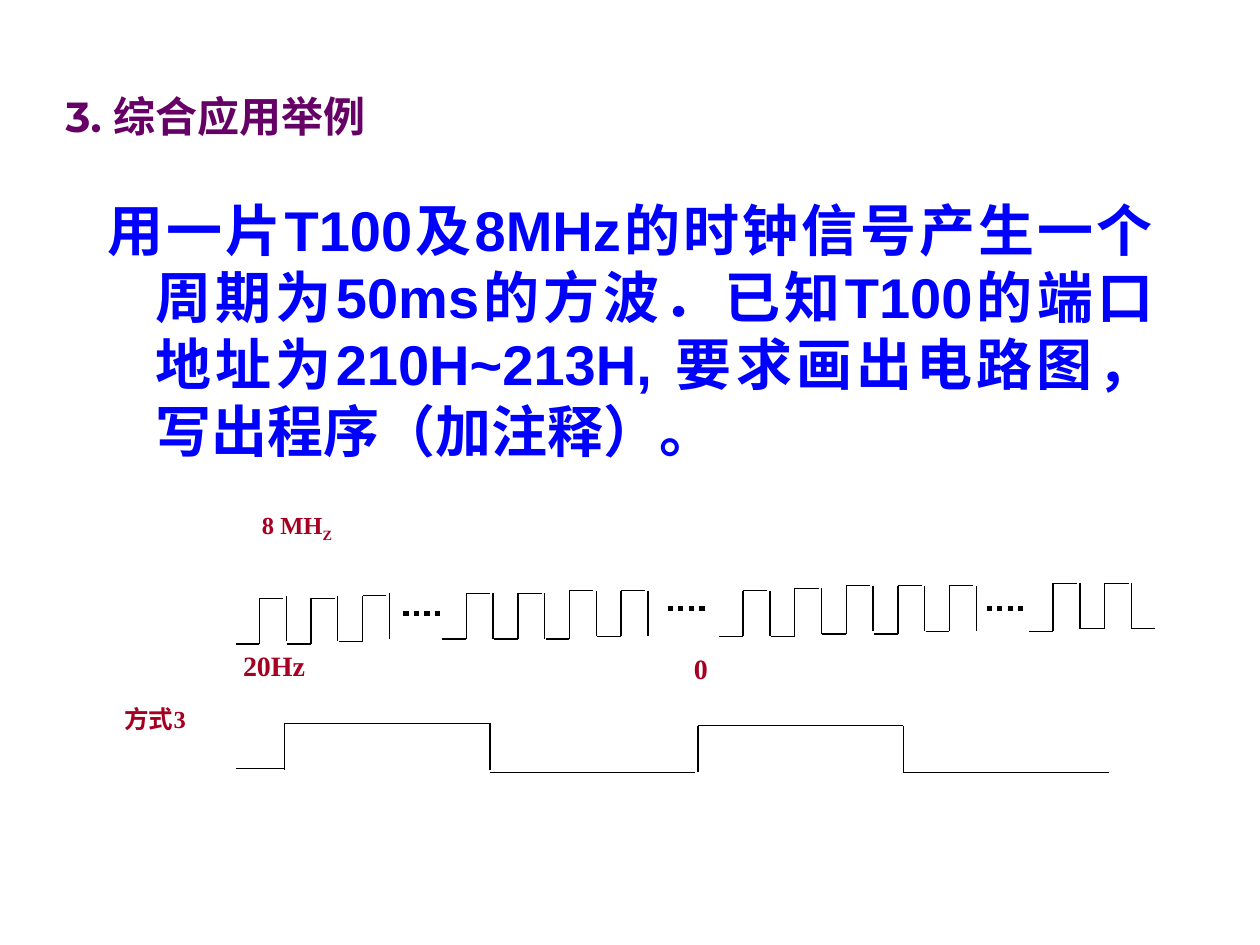
import pptx
import pptx.util
import pptx.dml.color
import pptx.enum.dml
import pptx.enum.shapes
import pptx.enum.text
from lxml import etree

Cm, Pt = pptx.util.Cm, pptx.util.Pt
ALIGN = pptx.enum.text.PP_ALIGN
ANCHOR = pptx.enum.text.MSO_ANCHOR
AUTO = pptx.enum.text.MSO_AUTO_SIZE

THEME = {
    "title": {"font": "Montserrat", "size": 24, "color": "660066"},
    "body": {"font": "Arial", "size": 32, "color": "0000FF"},
    "label": {"font": "Times New Roman", "size": 16, "color": "A50021"},
    "small": {"font": "Times New Roman", "size": 14, "color": "A50021"},
    "line": "000000",
    "thin": 0.75,
    "dots": 3,
}

# All lengths are in centimetres.
TITLE = "3. 综合应用举例"
TITLE_BOX = (1.07, 1.7, 19.69, 1.27)
TASK = ("用一片T100及8MHz的时钟信号产生一个周期为50ms的方波．已知T100的端口地址为"
        "210H~213H, 要求画出电路图，写出程序（加注释）。")
TASK_BOX = (1.91, 3.81, 21.59, 13.13)
HANGING = 0.97

# text, subscript, style, box
LABELS = [
    ("方式3", "", "small", (2.26, 14.07, 1.85, 0.86)),
    ("8 MH", "Z", "small", (5.03, 10.16, 1.93, 0.94)),
    ("0", "", "label", (13.74, 13.0, 0.79, 0.94)),
    ("20Hz", "", "label", (4.65, 12.95, 1.75, 0.94)),
]

# Clock bursts: left edge, then (low level, high level, top of falling edge) per pulse
PITCH, HALF, FALL_AT, HEIGHT = 1.04, 0.48, 1.02, 0.92
BURSTS = [
    (4.75, [(12.98, 12.06, 12.01), (12.98, 12.06, 12.01), (12.93, 12.01, 11.96)]),
    (8.92, [(12.88, 11.96, 11.96), (12.88, 11.96, 11.96),
            (12.88, 11.91, 11.91), (12.83, 11.91, 11.91)]),
    (14.5, [(12.83, 11.91, 11.91), (12.83, 11.86, 11.86), (12.78, 11.81, 11.81),
            (12.78, 11.81, 11.81), (12.73, 11.81, 11.81)]),
    (20.75, [(12.73, 11.76, 11.76), (12.67, 11.76, 11.76)]),
]
CLOCK_TAIL = (22.81, 12.67, 23.29, 12.67)
DOTS = [(8.13, 8.97, 12.37), (13.46, 14.27, 12.27), (19.89, 20.7, 12.27)]

# Output wave: level segments (from x, to x, y) and edges (x, from y, to y)
OUT_LEVELS = [(4.75, 5.72, 15.49), (5.73, 9.88, 14.58), (9.88, 14.02, 15.57),
              (14.07, 18.21, 14.63), (18.21, 22.35, 15.57)]
OUT_EDGES = [(5.73, 14.58, 15.52), (9.88, 14.58, 15.52),
             (14.07, 14.63, 15.57), (18.21, 14.63, 15.57)]


def rgb(value):
    return pptx.dml.color.RGBColor.from_string(value)


def style(p, name):
    t = THEME[name]
    p.font.name, p.font.size, p.font.bold = t["font"], Pt(t["size"]), True
    p.font.color.rgb = rgb(t["color"])


def add_text(s, box, text, name):
    sp = s.shapes.add_textbox(*map(Cm, box))
    p = sp.text_frame.paragraphs[0]
    p.add_run().text = text
    style(p, name)
    return sp.text_frame, p


def add_line(s, x1, y1, x2, y2, width=THEME["thin"], dash=None):
    c = s.shapes.add_connector(pptx.enum.shapes.MSO_CONNECTOR.STRAIGHT,
                               *map(Cm, (x1, y1, x2, y2)))
    c.line.color.rgb = rgb(THEME["line"])
    c.line.width = Pt(width)
    if dash:
        c.line.dash_style = dash
    etree.SubElement(c._element.spPr, pptx.oxml.ns.qn("a:effectLst"))


def add_title(s):
    sp = s.shapes.title
    sp.left, sp.top, sp.width, sp.height = map(Cm, TITLE_BOX)
    tf = sp.text_frame
    tf.text = TITLE
    tf.vertical_anchor, tf.auto_size = ANCHOR.BOTTOM, AUTO.SHAPE_TO_FIT_TEXT
    p = tf.paragraphs[0]
    p.alignment = ALIGN.LEFT
    style(p, "title")


def add_task(s):
    tf, p = add_text(s, TASK_BOX, TASK, "body")
    tf.word_wrap = True
    p.alignment, p.space_before = ALIGN.JUSTIFY, Pt(8)
    pPr = p._p.get_or_add_pPr()
    pPr.set("marL", str(Cm(HANGING)))
    pPr.set("indent", str(-Cm(HANGING)))


def add_label(s, text, subscript, name, box):
    tf, p = add_text(s, box, text, name)
    tf.word_wrap, tf.auto_size = False, AUTO.SHAPE_TO_FIT_TEXT
    if subscript:
        r = p.add_run()
        r.text = subscript
        r.font._element.set("baseline", "-25000")


def add_clock(s):
    for left, pulses in BURSTS:
        for i, (low, high, fall) in enumerate(pulses):
            x = left + i * PITCH
            rise = x + HALF
            add_line(s, x, low, rise, low)
            add_line(s, rise, high, rise, low)
            add_line(s, rise, high, rise + HALF, high)
            add_line(s, x + FALL_AT, fall, x + FALL_AT, fall + HEIGHT)
    add_line(s, *CLOCK_TAIL)
    for x1, x2, y in DOTS:
        add_line(s, x1, y, x2, y, THEME["dots"], pptx.enum.dml.MSO_LINE.ROUND_DOT)


def add_output(s):
    for x1, x2, y in OUT_LEVELS:
        add_line(s, x1, y, x2, y)
    for x, y1, y2 in OUT_EDGES:
        add_line(s, x, y1, x, y2)


def main():
    prs = pptx.Presentation()
    prs.slide_width, prs.slide_height = Cm(25.4), Cm(19.05)
    s = prs.slides.add_slide(prs.slide_layouts[5])
    add_title(s)
    add_task(s)
    add_clock(s)
    add_output(s)
    for label in LABELS:
        add_label(s, *label)
    prs.save("out.pptx")


if __name__ == "__main__":
    main()
